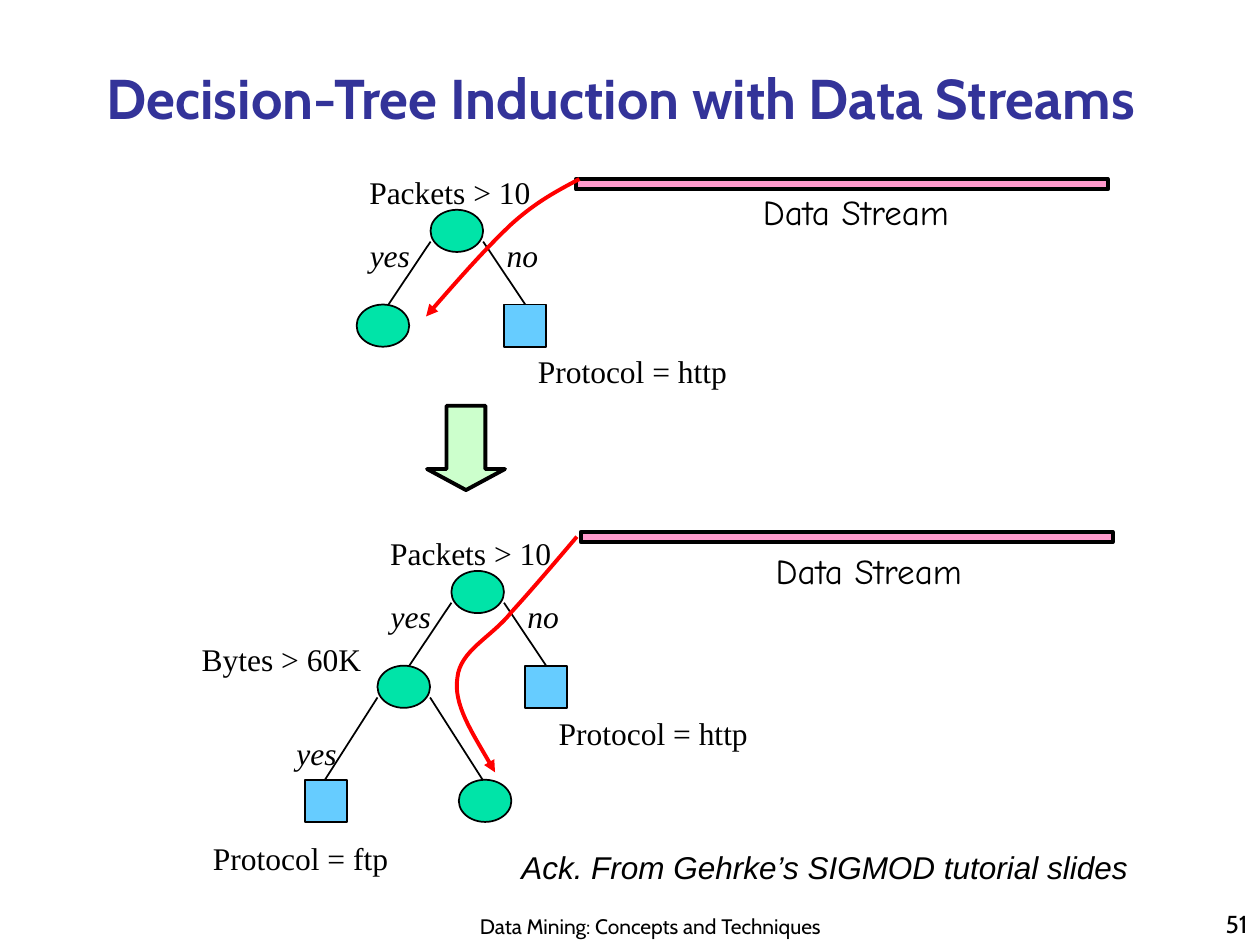
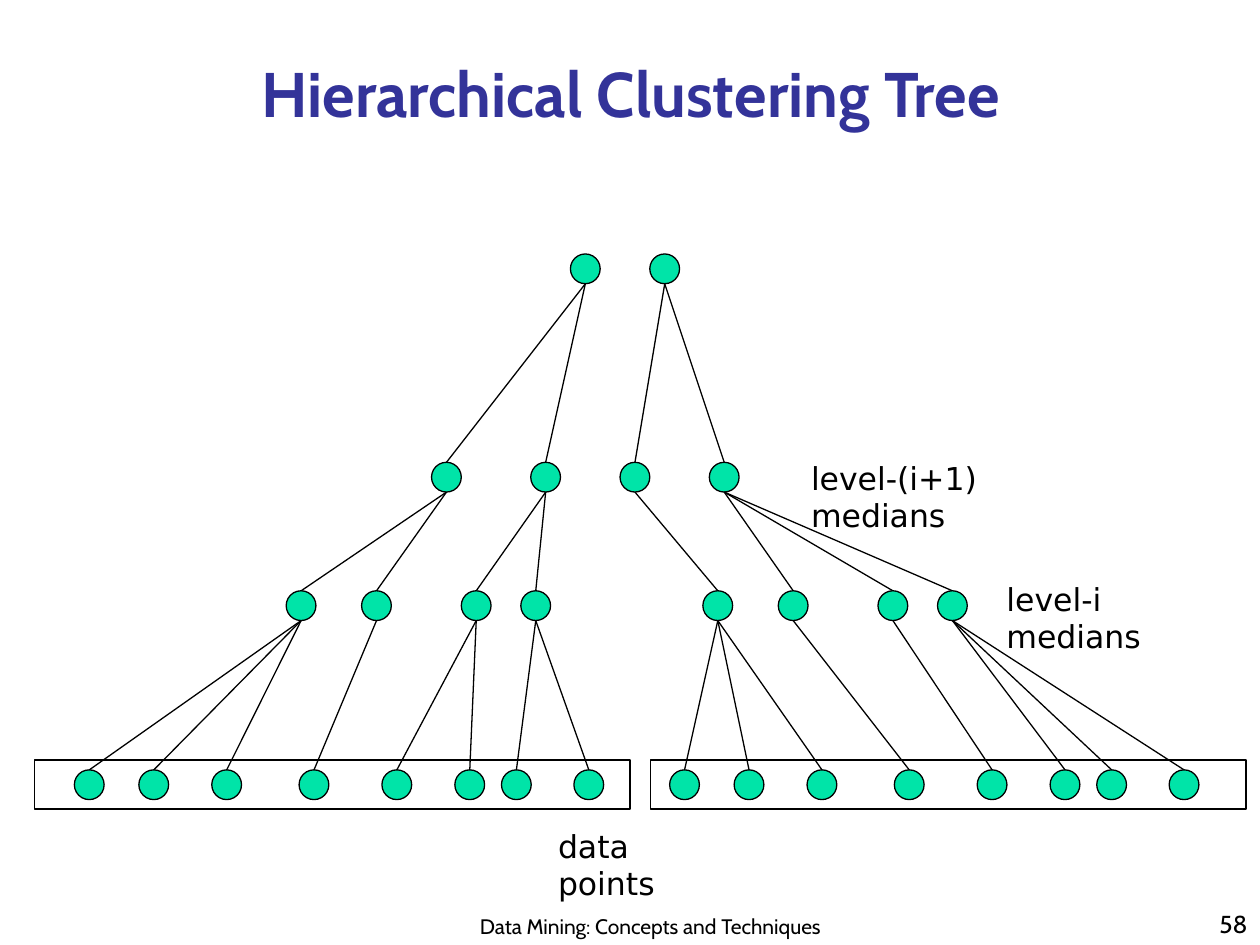
from lxml.etree import SubElement
from pptx import Presentation
from pptx.dml.color import RGBColor
from pptx.enum.shapes import MSO_CONNECTOR, MSO_SHAPE
from pptx.enum.text import MSO_ANCHOR, MSO_AUTO_SIZE, PP_ALIGN
from pptx.oxml.ns import qn
from pptx.util import Cm, Pt

BLACK = RGBColor(0x00, 0x00, 0x00)
TITLE_BLUE = RGBColor(0x33, 0x33, 0x99)
NODE_GREEN = RGBColor(0x00, 0xE4, 0xA8)
LEAF_BLUE = RGBColor(0x66, 0xCC, 0xFF)
STREAM_PINK = RGBColor(0xFF, 0x99, 0xCC)
STEP_GREEN = RGBColor(0xCC, 0xFF, 0xCC)
FLOW_RED = RGBColor(0xFF, 0x00, 0x00)

HEADING_FONT = "Cabin"
TREE_FONT = "Times New Roman"
STREAM_FONT = "Comic Neue"
CLUSTER_FONT = "DejaVu Sans"
FOOTER = "Data Mining: Concepts and Techniques"

NODE_WIDTH, NODE_HEIGHT = 1.06, 0.85
LABEL_HEIGHT = 1.02
DOT = 0.6


class Deck:
    """Holds the shared style and draws on the current slide; lengths are in cm."""

    def __init__(self):
        self.presentation = Presentation()
        self.presentation.slide_width = Cm(25.4)
        self.presentation.slide_height = Cm(19.05)
        self.slide = None

    def start_slide(self, title, box, size, number):
        layout = self.presentation.slide_layouts.get_by_name("Title Only")
        self.slide = self.presentation.slides.add_slide(layout)
        heading = self.slide.shapes.title
        heading.left, heading.top, heading.width, heading.height = map(Cm, box)
        self.set_text(heading.text_frame, title, HEADING_FONT, size, color=TITLE_BLUE,
                      bold=True, anchor=MSO_ANCHOR.BOTTOM)
        self.label(FOOTER, 9.09, 17.98, 8.05, 1.07, font=HEADING_FONT, size=12,
                   anchor=MSO_ANCHOR.BOTTOM)
        self.label(str(number), 20.12, 17.78, 5.28, 1.27, font=HEADING_FONT, size=14,
                   align=PP_ALIGN.RIGHT, anchor=MSO_ANCHOR.BOTTOM)

    def set_text(self, frame, text, font, size, color=BLACK, bold=False, italic=False,
                 align=PP_ALIGN.CENTER, anchor=MSO_ANCHOR.TOP, wrap=True):
        frame.auto_size = MSO_AUTO_SIZE.NONE
        frame.word_wrap = wrap
        frame.vertical_anchor = anchor
        paragraph = frame.paragraphs[0]
        paragraph.alignment = align
        run = paragraph.add_run()
        run.text = text
        run.font.name = font
        run.font.size = Pt(size)
        run.font.bold = bold
        run.font.italic = italic
        run.font.color.rgb = color

    def label(self, text, left, top, width, height=LABEL_HEIGHT, font=TREE_FONT,
              size=18, **style):
        box = self.slide.shapes.add_textbox(Cm(left), Cm(top), Cm(width), Cm(height))
        self.set_text(box.text_frame, text, font, size, **style)

    def outline(self, line, weight, color=BLACK):
        line.color.rgb = color
        line.width = Pt(weight)

    def shape(self, kind, left, top, width, height, fill=None, weight=1.0):
        shape = self.slide.shapes.add_shape(kind, Cm(left), Cm(top), Cm(width), Cm(height))
        shape.shadow.inherit = False
        if fill is None:
            shape.fill.background()
        else:
            shape.fill.solid()
            shape.fill.fore_color.rgb = fill
        self.outline(shape.line, weight)
        return shape

    def line(self, x1, y1, x2, y2, weight=1.0):
        connector = self.slide.shapes.add_connector(
            MSO_CONNECTOR.STRAIGHT, Cm(x1), Cm(y1), Cm(x2), Cm(y2))
        self.outline(connector.line, weight)
        SubElement(connector.element.spPr, qn("a:effectLst"))

    def curved_arrow(self, points):
        """Draw a start point followed by groups of two control points and an end point."""
        start, *rest = [(Cm(x), Cm(y)) for x, y in points]
        builder = self.slide.shapes.build_freeform(*start, scale=1.0)
        builder.add_line_segments(rest, close=False)
        arrow = builder.convert_to_shape()
        arrow.shadow.inherit = False
        arrow.fill.background()
        self.outline(arrow.line, 2.25, FLOW_RED)
        outline = next(arrow.element.iter(qn("a:path")))
        steps = outline.findall(qn("a:lnTo"))
        for first in range(0, len(steps), 3):
            curve = SubElement(outline, qn("a:cubicBezTo"))
            for step in steps[first:first + 3]:
                curve.append(step[0])
                outline.remove(step)
        stroke = arrow.element.spPr.find(qn("a:ln"))
        SubElement(stroke, qn("a:tailEnd"), type="triangle")

    def split_node(self, left, top):
        self.shape(MSO_SHAPE.OVAL, left, top, NODE_WIDTH, NODE_HEIGHT, NODE_GREEN)

    def leaf(self, left, top):
        self.shape(MSO_SHAPE.RECTANGLE, left, top, NODE_HEIGHT, NODE_HEIGHT, LEAF_BLUE)

    def branches(self, left, top, reach, drop):
        """Draw mirrored lines from both sides of the node at left, top."""
        right = left + NODE_WIDTH
        self.line(left, top + 0.64, left - reach, top + drop)
        self.line(right, top + 0.64, right + reach, top + drop)

    def packet_tree(self, left, top):
        self.split_node(left, top)
        self.split_node(left - 1.49, top + 1.91)
        self.leaf(left + 1.48, top + 1.91)
        self.branches(left, top, 0.85, 1.91)
        self.label("yes", left - 1.48, top + 0.41, 1.32, italic=True, wrap=False)
        self.label("no", left + 1.28, top + 0.41, 1.14, italic=True, wrap=False)
        self.label("Packets > 10", left - 1.49, top - 0.86, 3.76, wrap=False)
        self.label("Protocol = http", left + 1.91, top + 2.75, 4.32, wrap=False)

    def data_stream(self, left, top, label_left, label_top):
        self.shape(MSO_SHAPE.RECTANGLE, left, top, 10.72, 0.21, STREAM_PINK, 2.25)
        self.label("Data Stream", label_left, label_top, 4.29, 1.09,
                   font=STREAM_FONT, size=20, wrap=False)

    def cluster_level(self, centers, top, parents=(), parent_top=0):
        """Draw a row of dots, each joined to its parent's centre in the row above."""
        for center, parent in zip(centers, parents):
            self.line(parent, parent_top + DOT, center, top, 0.75)
        for center in centers:
            self.shape(MSO_SHAPE.OVAL, center - DOT / 2, top, DOT, DOT, NODE_GREEN, 0.75)


def decision_tree_slide(deck):
    deck.start_slide("Decision-Tree Induction with Data Streams",
                     (1.27, 1.07, 22.5, 1.7), 32, 51)
    deck.packet_tree(8.68, 4.23)
    deck.packet_tree(9.1, 11.51)

    bytes_left, bytes_top = 7.61, 13.42
    deck.branches(bytes_left, bytes_top, 1.06, 2.3)
    deck.leaf(bytes_left - 1.46, bytes_top + 2.3)
    deck.split_node(bytes_left + 1.64, bytes_top + 2.3)
    deck.label("Bytes > 60K", 3.81, 12.78, 3.73, wrap=False)
    deck.label("yes", 5.72, 14.68, 1.32, italic=True, wrap=False)
    deck.label("Protocol = ftp", 4.04, 16.79, 4.04, wrap=False)

    step = deck.shape(MSO_SHAPE.DOWN_ARROW, 8.61, 8.18, 1.57, 1.7, STEP_GREEN, 2.25)
    step.adjustments[1] = 0.27
    deck.data_stream(11.61, 3.61, 15.11, 3.71)
    deck.data_stream(11.71, 10.72, 15.37, 10.95)
    deck.curved_arrow([(11.68, 3.61), (11.25, 3.84), (10.82, 4.06), (10.31, 4.52),
                       (9.8, 5), (9.19, 5.69), (8.59, 6.38)])
    deck.curved_arrow([(11.63, 10.82), (11.18, 11.35), (10.72, 11.89), (10.31, 12.34),
                       (9.91, 12.85), (9.27, 13.11), (9.22, 13.67),
                       (9.14, 14.2), (9.58, 14.86), (9.98, 15.57)])
    deck.label("Ack. From Gehrke’s SIGMOD tutorial slides", 10.26, 16.97, 12.75,
               font="Arial", italic=True, align=PP_ALIGN.LEFT, wrap=False)


def clustering_slide(deck):
    deck.start_slide("Hierarchical Clustering Tree", (1.6, 0.84, 22.23, 1.91), 36, 58)
    left_medians = [6.07, 7.59, 9.6, 10.8]
    left_points = [1.8, 3.1, 4.57, 6.33, 8, 9.47, 10.41, 11.87]
    # Each level: top, centres, and the index of every dot's parent one level up
    levels = [
        (5.12, [11.8, 13.4], []),
        (9.32, [9, 11, 12.8, 14.6], [0, 0, 1, 1]),
        (11.91, left_medians + [x + 8.4 for x in left_medians],
         [0, 0, 1, 1, 2, 3, 3, 3]),
        (15.52, left_points + [x + 12 for x in left_points],
         [0, 0, 0, 1, 2, 2, 3, 3, 4, 4, 4, 5, 6, 7, 7, 7]),
    ]
    above_top, above = 0, []
    for top, centers, parents in levels:
        deck.cluster_level(centers, top, [above[i] for i in parents], above_top)
        above_top, above = top, centers

    for group_left in (0.69, 13.11):
        deck.shape(MSO_SHAPE.RECTANGLE, group_left, 15.32, 12.01, 0.99, weight=0.75)
    for text, left, top, width in [
        ("data points", 11, 16.54, 3.4),
        ("level-i medians", 20.04, 11.56, 4.6),
        ("level-(i+1) medians", 16.1, 9.12, 5.8),
    ]:
        deck.label(text, left, top, width, font=CLUSTER_FONT, align=PP_ALIGN.LEFT)


def main():
    deck = Deck()
    decision_tree_slide(deck)
    clustering_slide(deck)
    deck.presentation.save("out.pptx")


if __name__ == "__main__":
    main()
